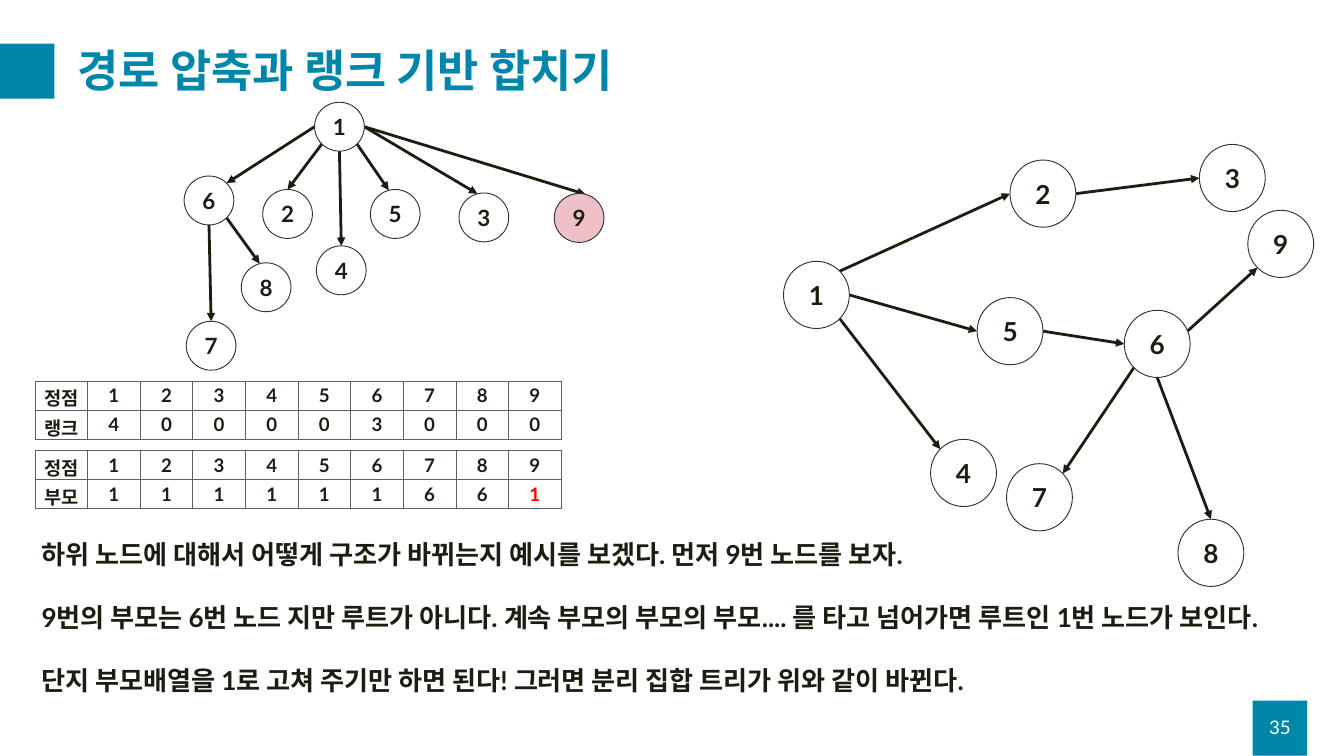
"""Build a slide on union by rank with path compression: two trees, two tables, notes."""
from dataclasses import dataclass, field
from math import cos, radians, sin

from lxml.etree import SubElement
from pptx import Presentation
from pptx.dml.color import RGBColor
from pptx.enum.shapes import MSO_CONNECTOR as Connector, MSO_SHAPE as Shape
from pptx.enum.text import MSO_ANCHOR as Anchor, PP_ALIGN as Align
from pptx.oxml.ns import qn
from pptx.util import Cm, Pt

FONT = "Lato"
TEAL, INK, WHITE = "0086AB", "1E1C11", "FFFFFF"
OUTLINE, GRID, PINK, RED = "303030", "5F5F5F", "F0C0C7", "FF0000"
N, NE, E, SE, S, SW, W, NW = 90, 45, 0, -45, -90, -135, 180, 135


@dataclass
class Edge:
    """Arrow between two nodes; angles in degrees, counterclockwise from east."""
    parent: int
    leave: float
    child: int
    arrive: float


@dataclass
class Tree:
    """Node centres by label (cm), node size (cm), label size (pt) and edges."""
    width: float
    height: float
    label_size: int
    centres: dict[int, tuple[float, float]]
    edges: list[Edge]
    fills: dict[int, str] = field(default_factory=dict)

    def rim(self, node: int, angle: float) -> tuple[float, float]:
        """Return the point on a node's outline at an angle."""
        x, y = self.centres[node]
        a = radians(angle)
        return x + self.width / 2 * cos(a), y - self.height / 2 * sin(a)


@dataclass
class Grid:
    """Two-row table of vertices and one value for each."""
    top: float
    label: str
    values: list[int]
    red_vertex: int = 0


COMPRESSED = Tree(
    1.88, 1.85, 24,
    {1: (12.83, 4.79), 2: (10.87, 8.09), 3: (18.29, 8.22), 4: (12.9, 10.22),
     5: (14.94, 8.09), 6: (7.9, 7.58), 7: (7.98, 13.07), 8: (10.06, 10.86),
     9: (21.89, 8.24)},
    [Edge(1, SW, 2, N), Edge(1, E, 3, 105), Edge(1, SE, 5, 105),
     Edge(1, S, 4, N), Edge(1, E, 9, 75), Edge(1, W, 6, NE),
     Edge(6, SE, 8, 105), Edge(6, S, 7, N)],
    {9: PINK})

INITIAL = Tree(
    2.49, 2.54, 28,
    {1: (30.86, 11.15), 2: (39.42, 7.32), 3: (46.58, 6.73), 4: (36.42, 17.88),
     5: (38.18, 12.52), 6: (43.74, 13), 7: (39.29, 18.8), 8: (45.77, 20.9),
     9: (48.41, 9.22)},
    [Edge(1, NE, 2, W), Edge(1, E, 5, W), Edge(1, SE, 4, NW), Edge(2, E, 3, W),
     Edge(5, E, 6, W), Edge(6, 22.5, 9, SW), Edge(6, SW, 7, NE), Edge(6, S, 8, N)])

GRIDS = [Grid(14.4, "랭크", [4, 0, 0, 0, 0, 3, 0, 0, 0]),
         Grid(17.02, "부모", [1, 1, 1, 1, 1, 1, 6, 6, 1], red_vertex=9)]

NOTES = [
    "하위 노드에 대해서 어떻게 구조가 바뀌는지 예시를 보겠다. 먼저 9번 노드를 보자.",
    "9번의 부모는 6번 노드 지만 루트가 아니다. 계속 부모의 부모의 부모.... 를 타고 넘어가면 루트인 1번 노드가 보인다.",
    "단지 부모배열을 1로 고쳐 주기만 하면 된다! 그러면 분리 집합 트리가 위와 같이 바뀐다.",
]


def rgb(value: str) -> RGBColor:
    """Turn a hex string into a colour."""
    return RGBColor.from_string(value)


def style(p, size: float, color: str, bold: bool = True, align=Align.LEFT) -> None:
    """Set a paragraph's font and alignment."""
    p.alignment = align
    p.font.name, p.font.size, p.font.bold = FONT, Pt(size), bold
    p.font.color.rgb = rgb(color)


def add_text(s, box: tuple, lines: list[str], size: float, color: str,
             bold: bool = True, align=Align.LEFT, anchor=Anchor.MIDDLE):
    """Add a wrapping text box and return its text frame."""
    tf = s.shapes.add_textbox(*map(Cm, box)).text_frame
    tf.word_wrap, tf.vertical_anchor = True, anchor
    for i, line in enumerate(lines):
        p = tf.add_paragraph() if i else tf.paragraphs[0]
        p.text = line
        style(p, size, color, bold, align)
    return tf


def add_block(s, left: float, top: float) -> None:
    """Add a teal accent block."""
    sp = s.shapes.add_shape(Shape.RECTANGLE, Cm(left), Cm(top), Cm(2.06), Cm(2.08))
    sp.shadow.inherit = False
    sp.fill.solid()
    sp.fill.fore_color.rgb = rgb(TEAL)
    sp.line.fill.background()


def add_arrow(s, start: tuple[float, float], end: tuple[float, float]) -> None:
    """Add a straight arrow."""
    c = s.shapes.add_connector(Connector.STRAIGHT, *map(Cm, start + end))
    c.line.width = Pt(3)
    c.line.color.rgb = rgb(INK)
    SubElement(c.line._get_or_add_ln(), qn("a:tailEnd"), type="triangle")
    SubElement(c._element.spPr, qn("a:effectLst"))


def add_node(s, tree: Tree, node: int) -> None:
    """Add one labelled circle of a tree."""
    x, y = tree.centres[node]
    sp = s.shapes.add_shape(Shape.OVAL, Cm(x - tree.width / 2), Cm(y - tree.height / 2),
                            Cm(tree.width), Cm(tree.height))
    sp.shadow.inherit = False
    sp.fill.solid()
    sp.fill.fore_color.rgb = rgb(tree.fills.get(node, WHITE))
    sp.line.color.rgb = rgb(OUTLINE)
    sp.line.width = Pt(1)
    tf = sp.text_frame
    tf.vertical_anchor = Anchor.MIDDLE
    tf.text = str(node)
    style(tf.paragraphs[0], tree.label_size, INK, align=Align.CENTER)


def add_tree(s, tree: Tree) -> None:
    """Add a tree's arrows and nodes."""
    for e in tree.edges:
        add_arrow(s, tree.rim(e.parent, e.leave), tree.rim(e.child, e.arrive))
    for node in tree.centres:
        add_node(s, tree, node)


def add_borders(cell) -> None:
    """Outline a cell on all four sides."""
    tcPr = cell._tc.get_or_add_tcPr()
    for side in ("lnL", "lnR", "lnT", "lnB"):
        ln = SubElement(tcPr, qn(f"a:{side}"), w=str(Pt(1)))
        SubElement(SubElement(ln, qn("a:solidFill")), qn("a:srgbClr"), val=GRID)


def add_grid(s, grid: Grid) -> None:
    """Add a vertex table."""
    rows = [["정점", *range(1, 10)], [grid.label, *grid.values]]
    table = s.shapes.add_table(2, 10, Cm(1.32), Cm(grid.top), Cm(19.9), Cm(2.2)).table
    table.first_row = table.horz_banding = False
    for r, row in enumerate(rows):
        for c, value in enumerate(row):
            cell = table.cell(r, c)
            add_borders(cell)
            cell.fill.background()
            cell.text = str(value)
            color = RED if r and c and c == grid.red_vertex else INK
            style(cell.text_frame.paragraphs[0], 20, color, align=Align.CENTER)


def main() -> None:
    """Build and save the slide."""
    prs = Presentation()
    prs.slide_width, prs.slide_height = Cm(50.8), Cm(28.58)
    s = prs.slides.add_slide(prs.slide_layouts[6])
    add_block(s, 47.35, 26.49)
    add_block(s, 0, 1.65)
    title = add_text(s, (2.69, 1.27, 46.36, 3), ["경로 압축과 랭크 기반 합치기"], 48, TEAL)
    title.paragraphs[0].line_spacing = 0.9
    add_text(s, (47.35, 26.72, 2.06, 1.52), ["35"], 20, WHITE, False, Align.CENTER)
    add_tree(s, INITIAL)
    notes = add_text(s, (1.32, 20.24, 49, 7.44), NOTES, 28, INK, anchor=Anchor.TOP)
    for p in notes.paragraphs[1:]:
        p.space_before = Pt(33.6)
    for grid in GRIDS:
        add_grid(s, grid)
    add_tree(s, COMPRESSED)
    prs.save("out.pptx")


if __name__ == "__main__":
    main()
